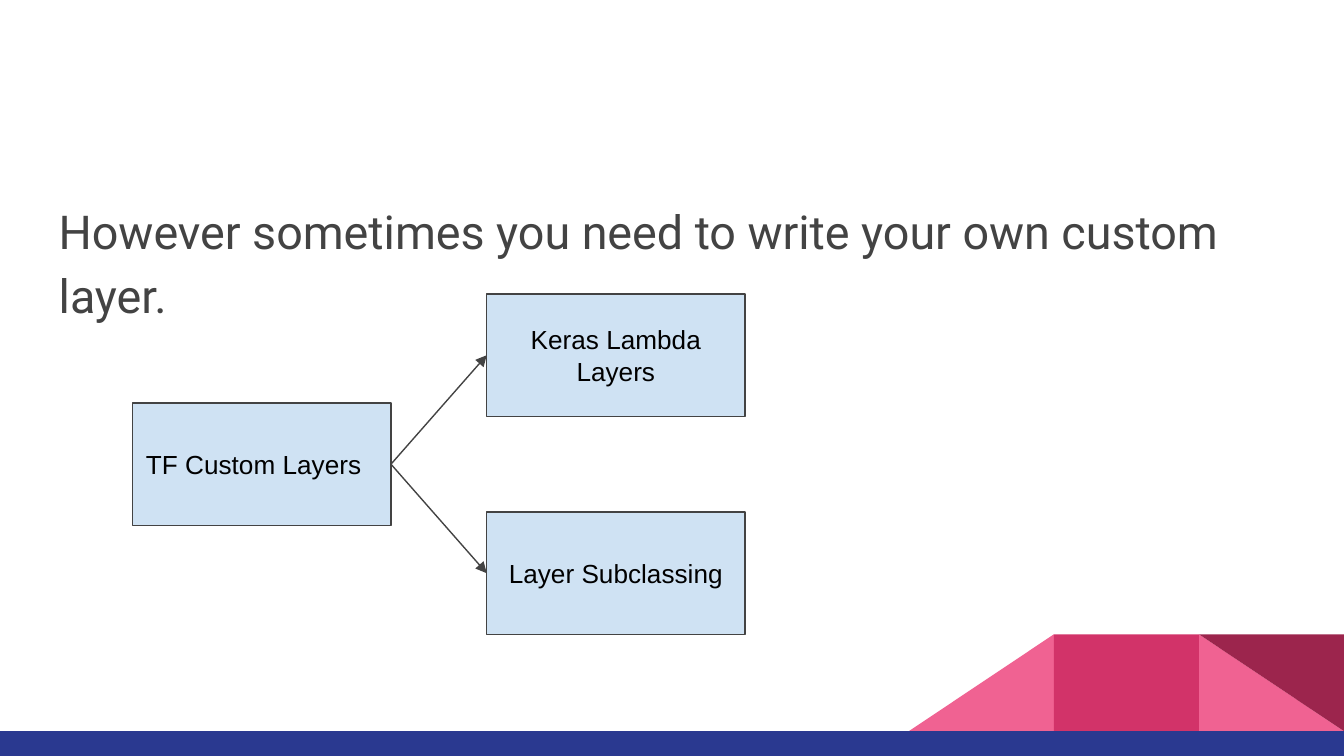
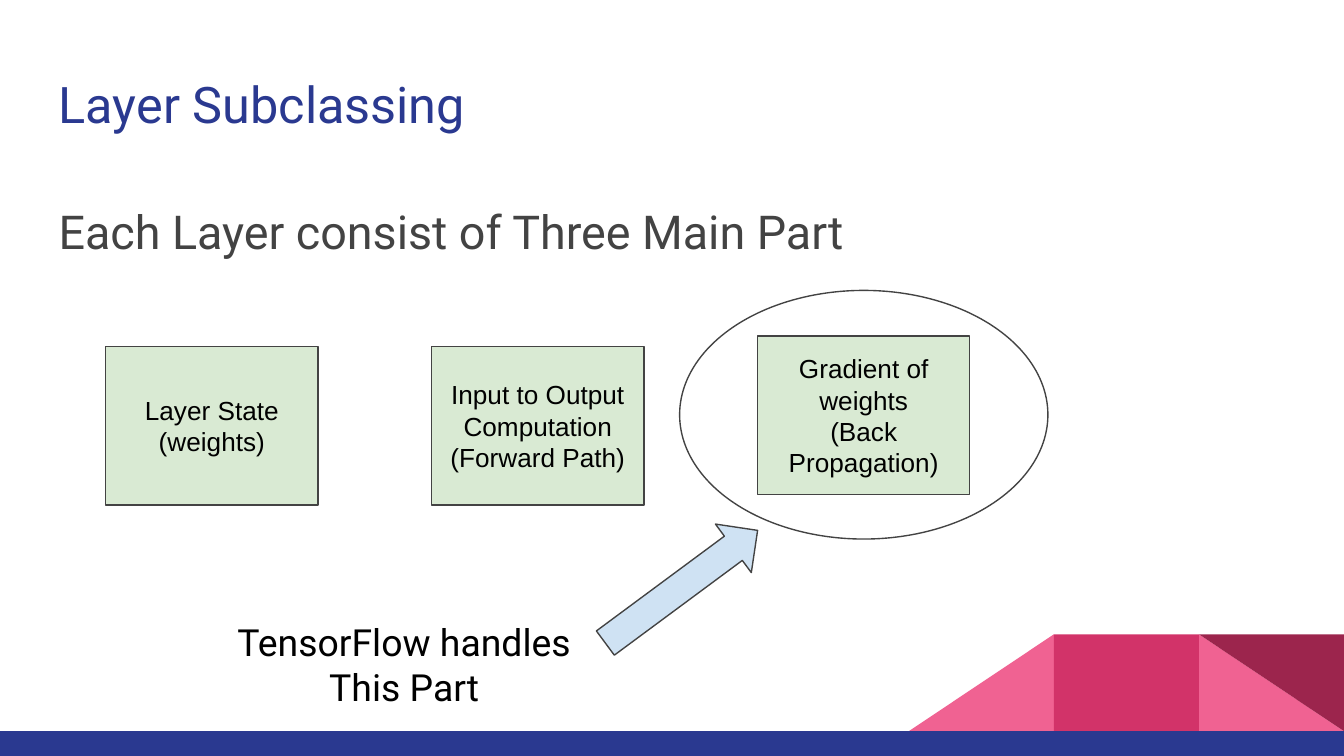
from dataclasses import dataclass

from lxml.etree import SubElement
from pptx import Presentation
from pptx.dml.color import RGBColor
from pptx.enum.shapes import MSO_CONNECTOR, MSO_SHAPE
from pptx.enum.text import MSO_ANCHOR, PP_ALIGN
from pptx.oxml.ns import qn
from pptx.util import Cm, Pt

COLORS = {
    "navy": "2A3990",
    "pink": "F06292",
    "rose": "D23369",
    "wine": "9C254D",
    "gray": "434343",
    "black": "000000",
    "blue": "CFE2F3",
    "green": "D9EAD3",
}
HEADING_FONT, LABEL_FONT = "Roboto", "Arial"
LINE_WIDTH = Pt(0.75)
INSET = Cm(0.25)
RIGHT, LEFT = 3, 1  # connection sites of a rectangle


@dataclass
class Box:
    """Lengths in centimetres."""
    left: float
    top: float
    width: float
    height: float

    def inner(self, left, top, width, height):
        return Box(self.left + left, self.top + top, width, height)

    def emu(self):
        return Cm(self.left), Cm(self.top), Cm(self.width), Cm(self.height)


PAGE = Box(0, 0, 25.4, 14.29)
TITLE = PAGE.inner(0.86, 1.14, 23.67, 1.68)
BODY = PAGE.inner(0.86, 3.43, 23.67, 9.27)
FOOTER = PAGE.inner(0, 11.99, 25.4, 2.3)


def rgb(name):
    return RGBColor.from_string(COLORS[name])


def write(shape, lines, size, font, color="black", align=PP_ALIGN.CENTER):
    frame = shape.text_frame
    frame.word_wrap = True
    frame.margin_left = frame.margin_right = INSET
    frame.margin_top = frame.margin_bottom = INSET
    frame.text = "\n".join(lines)
    for paragraph in frame.paragraphs:
        paragraph.alignment = align
        paragraph.font.name = font
        paragraph.font.size = Pt(size)
        paragraph.font.color.rgb = rgb(color)
    return frame


def add_text(slide, box, text, size, color, align=PP_ALIGN.LEFT):
    holder = slide.shapes.add_textbox(*box.emu())
    return write(holder, [text], size, HEADING_FONT, color, align)


def add_figure(slide, kind, box, fill=None, outlined=True):
    figure = slide.shapes.add_shape(kind, *box.emu())
    figure.shadow.inherit = False
    if fill:
        figure.fill.solid()
        figure.fill.fore_color.rgb = rgb(fill)
    else:
        figure.fill.background()
    if outlined:
        figure.line.color.rgb = rgb("gray")
        figure.line.width = LINE_WIDTH
    else:
        figure.line.fill.background()
    return figure


def add_card(slide, box, fill, lines, align=PP_ALIGN.CENTER):
    card = add_figure(slide, MSO_SHAPE.RECTANGLE, box, fill)
    frame = write(card, lines, 14, LABEL_FONT, align=align)
    frame.vertical_anchor = MSO_ANCHOR.MIDDLE
    return card


def add_branch_arrow(slide, source, target):
    arrow = slide.shapes.add_connector(MSO_CONNECTOR.STRAIGHT, 0, 0, 0, 0)
    arrow.begin_connect(source, RIGHT)
    arrow.end_connect(target, LEFT)
    arrow.line.color.rgb = rgb("gray")
    arrow.line.width = LINE_WIDTH
    properties = arrow._element.spPr
    SubElement(properties.find(qn("a:ln")), qn("a:tailEnd"), type="triangle")
    SubElement(properties, qn("a:effectLst"))


def add_footer(slide, box):
    band_height, facet_width = 0.47, 2.74
    facet_height = box.height - band_height

    def facet(kind, from_right, fill):
        place = box.inner(box.width - from_right * facet_width, 0,
                          facet_width, facet_height)
        return add_figure(slide, kind, place, fill, outlined=False)

    # Faceted corner
    facet(MSO_SHAPE.RIGHT_TRIANGLE, 1, "pink")
    slope = facet(MSO_SHAPE.RIGHT_TRIANGLE, 3, "pink")
    slope._element.spPr.find(qn("a:xfrm")).set("flipH", "1")
    facet(MSO_SHAPE.RECTANGLE, 2, "rose")
    facet(MSO_SHAPE.RIGHT_TRIANGLE, 1, "wine").rotation = 180
    # Bottom band
    band = box.inner(0, facet_height, box.width, band_height)
    add_figure(slide, MSO_SHAPE.RECTANGLE, band, "navy", outlined=False)


def add_page(deck, statement, title=None):
    slide = deck.slides.add_slide(deck.slide_layouts[6])
    add_footer(slide, FOOTER)
    if title:
        add_text(slide, TITLE, title, 27, "navy")
    body = add_text(slide, BODY, statement, 25, "gray").paragraphs[0]
    body.line_spacing = 1.15
    body.space_after = Pt(12)
    return slide


def add_layer_tree(slide, box, root_label, branch_labels):
    width, height = 4.88, 2.31
    root_box = box.inner(0, (box.height - height) / 2, width, height)
    root = add_card(slide, root_box, "blue", [root_label], PP_ALIGN.LEFT)
    pitch = (box.height - height) / (len(branch_labels) - 1)
    branches = [
        add_card(slide, box.inner(box.width - width, i * pitch, width, height),
                 "blue", [label])
        for i, label in enumerate(branch_labels)
    ]
    for branch in branches:
        add_branch_arrow(slide, root, branch)


def add_layer_parts(slide, box, components, caption):
    width, height, raised = 4.01, 3, 0.2
    pitch = (box.width - width) / (len(components) - 1)
    # Cards, the last one slightly raised
    for i, lines in enumerate(components):
        top = 1.06 - (raised if i == len(components) - 1 else 0)
        place = box.inner(i * pitch, top, width, height)
        add_card(slide, place, "green", lines)
    # Ring centred on the last card
    ring_width, ring_height = 6.96, 4.7
    ring = box.inner(box.width - (width + ring_width) / 2, 0,
                     ring_width, ring_height)
    add_figure(slide, MSO_SHAPE.OVAL, ring)
    # Pointer and its caption
    pointer = add_figure(slide, MSO_SHAPE.RIGHT_ARROW,
                         box.inner(9.09, 5.03, 3.58, 1.14), "blue")
    pointer.rotation = 323.5
    add_text(slide, box.inner(2.16, 5.97, ring_width, 2.24), caption, 20,
             "black", PP_ALIGN.CENTER)


def main():
    deck = Presentation()
    deck.slide_width, deck.slide_height = Cm(PAGE.width), Cm(PAGE.height)

    custom = add_page(
        deck, "However sometimes you need to write your own custom layer.")
    add_layer_tree(custom, PAGE.inner(2.51, 5.56, 11.57, 6.43),
                   "TF Custom Layers",
                   ["Keras Lambda Layers", "Layer Subclassing"])

    subclassing = add_page(deck, "Each Layer consist of Three Main Part",
                           title="Layer Subclassing")
    add_layer_parts(subclassing, PAGE.inner(2, 5.49, 16.33, 8.21), [
        ["Layer State", "(weights)"],
        ["Input to Output Computation", "(Forward Path)"],
        ["Gradient of weights", "(Back Propagation)"],
    ], "TensorFlow handles This Part")

    deck.save("out.pptx")


if __name__ == "__main__":
    main()
